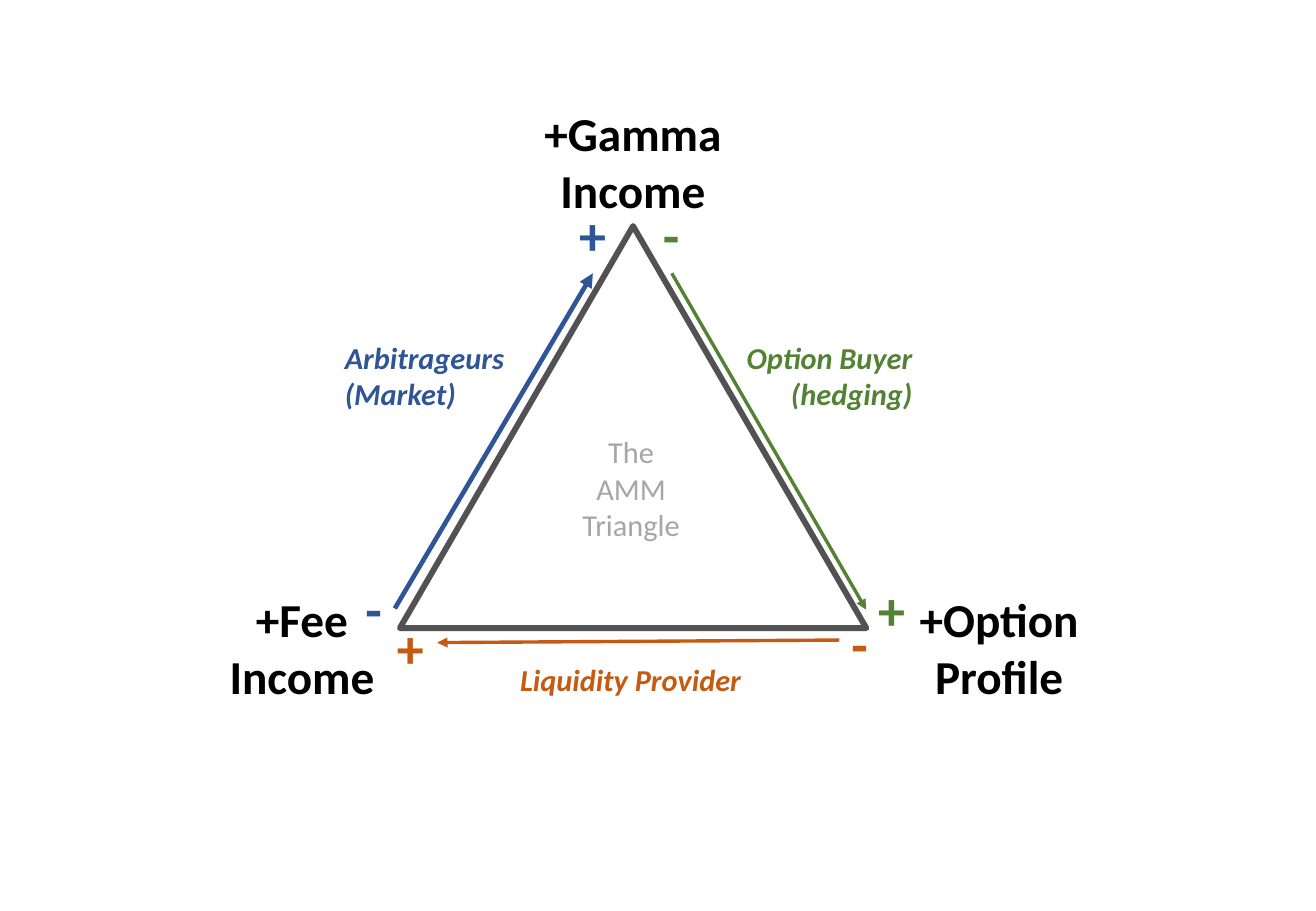
from pptx import Presentation
from pptx.dml.color import RGBColor
from pptx.enum.shapes import MSO_CONNECTOR as Connector, MSO_SHAPE as Shape
from pptx.enum.text import MSO_AUTO_SIZE as AutoSize, PP_ALIGN as Align
from pptx.oxml.ns import qn
from pptx.util import Pt
from lxml.etree import SubElement

BLACK = RGBColor(0x00, 0x00, 0x00)
DARK_GREY = RGBColor(0x52, 0x52, 0x52)
LIGHT_GREY = RGBColor(0xA6, 0xA6, 0xA6)
BLUE = RGBColor(0x2F, 0x55, 0x97)
GREEN = RGBColor(0x54, 0x82, 0x35)
ORANGE = RGBColor(0xC5, 0x5A, 0x11)


class Diagram:
    font_name = "Calibri"

    def __init__(self, slide):
        self.slide = slide

    def triangle(self, left, top, width, height, color, weight):
        shape = self.slide.shapes.add_shape(
            Shape.ISOSCELES_TRIANGLE, Pt(left), Pt(top), Pt(width), Pt(height))
        shape.shadow.inherit = False
        shape.fill.background()
        shape.line.color.rgb = color
        shape.line.width = Pt(weight)

    def text(self, words, left, top, width, height, size, color,
             align=Align.LEFT, bold=True, italic=False):
        box = self.slide.shapes.add_textbox(Pt(left), Pt(top), Pt(width), Pt(height))
        frame = box.text_frame
        frame.text = words
        frame.word_wrap = False
        frame.auto_size = AutoSize.SHAPE_TO_FIT_TEXT
        for para in frame.paragraphs:
            para.alignment = align
            for span in para.runs:
                font = span.font
                font.name = self.font_name
                font.size = Pt(size)
                font.bold = bold
                font.italic = italic
                font.color.rgb = color

    def corner(self, words, left, top, width):
        self.text(words, left, top, width, 75, 28, BLACK, Align.CENTER)

    def actor(self, words, left, top, width, height, color, align):
        self.text(words, left, top, width, height, 18, color, align, italic=True)

    def sign(self, symbol, left, top, color):
        width = 31 if symbol == "+" else 24.5
        self.text(symbol, left, top, width, 46, 32, color)

    def arrow(self, start, end, color, weight):
        line = self.slide.shapes.add_connector(
            Connector.STRAIGHT, *(Pt(value) for value in (*start, *end)))
        line.line.color.rgb = color
        line.line.width = Pt(weight)
        SubElement(line.line._get_or_add_ln(), qn("a:tailEnd"), type="triangle")
        SubElement(line._element.spPr, qn("a:effectLst"))


deck = Presentation()
deck.slide_width = Pt(780)
deck.slide_height = Pt(540)
page = Diagram(deck.slides.add_slide(deck.slide_layouts[6]))

page.triangle(237, 134, 276.5, 238.3, DARK_GREY, 3.5)
page.text("The\nAMM\nTriangle", 337.7, 253.4, 72.7, 72.7, 18, LIGHT_GREY,
          Align.CENTER, bold=False)

for words, left, top, width in (
    ("+Fee\vIncome", 128.2, 346.3, 101.5),
    ("+Gamma\vIncome", 314.6, 58.3, 121),
    ("+Option\vProfile", 537.1, 346.3, 110.2),
):
    page.corner(words, left, top, width)

for start, end, color, weight in (
    ((398.2, 162), (513.4, 361.4), GREEN, 2),
    ((497.5, 379.4), (259.2, 380.9), ORANGE, 2),
    ((234, 360.7), (351.4, 162), BLUE, 2.75),
):
    page.arrow(start, end, color, weight)

for symbol, left, top, color in (
    ("-", 385.9, 115.9, GREEN),
    ("+", 513.4, 338.4, GREEN),
    ("-", 497.5, 358.6, ORANGE),
    ("+", 228.2, 360.7, ORANGE),
    ("-", 209.5, 337.7, BLUE),
    ("+", 336.2, 115.9, BLUE),
):
    page.sign(symbol, left, top, color)

page.actor("Option Buyer\v(hedging)", 433.4, 197.3, 114.5, 51, GREEN, Align.RIGHT)
page.actor("Liquidity Provider", 299.5, 388.1, 146.9, 29, ORANGE, Align.RIGHT)
page.actor("Arbitrageurs\n(Market)", 197.3, 197.3, 110.2, 51, BLUE, Align.LEFT)

deck.save("out.pptx")
